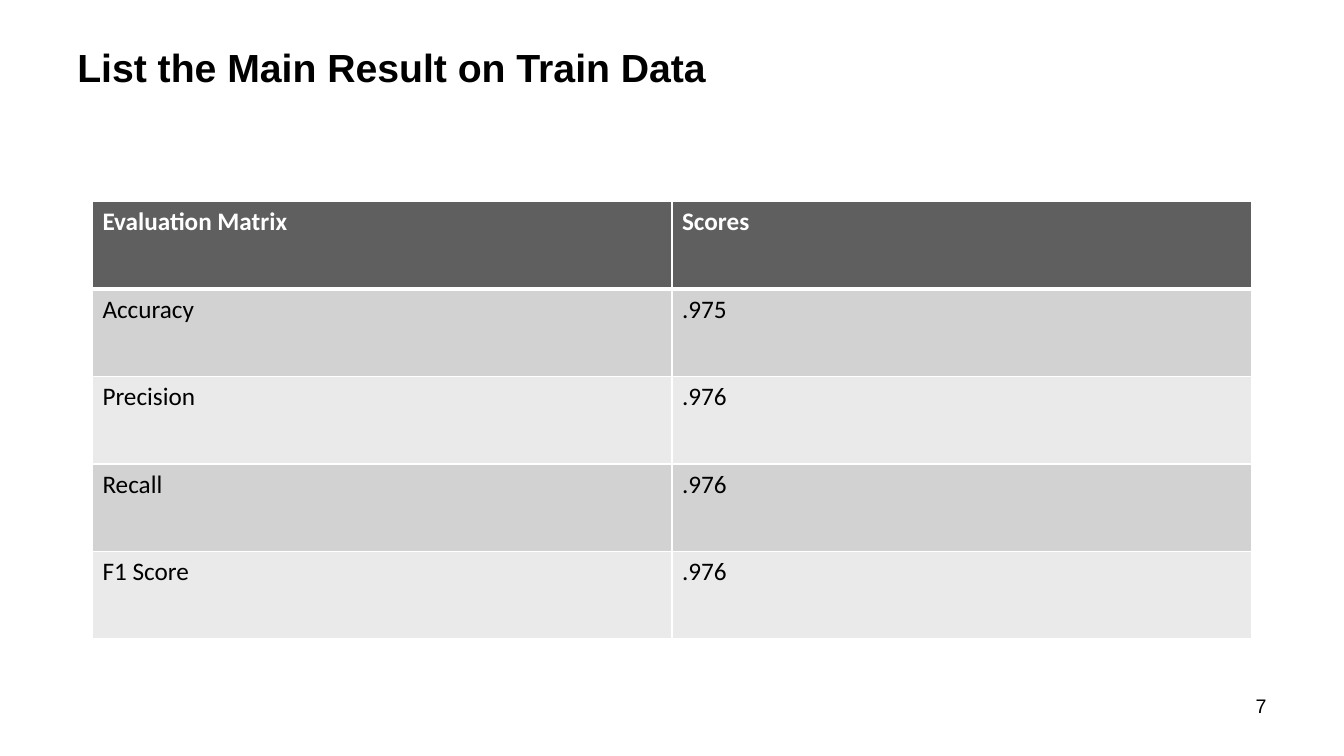
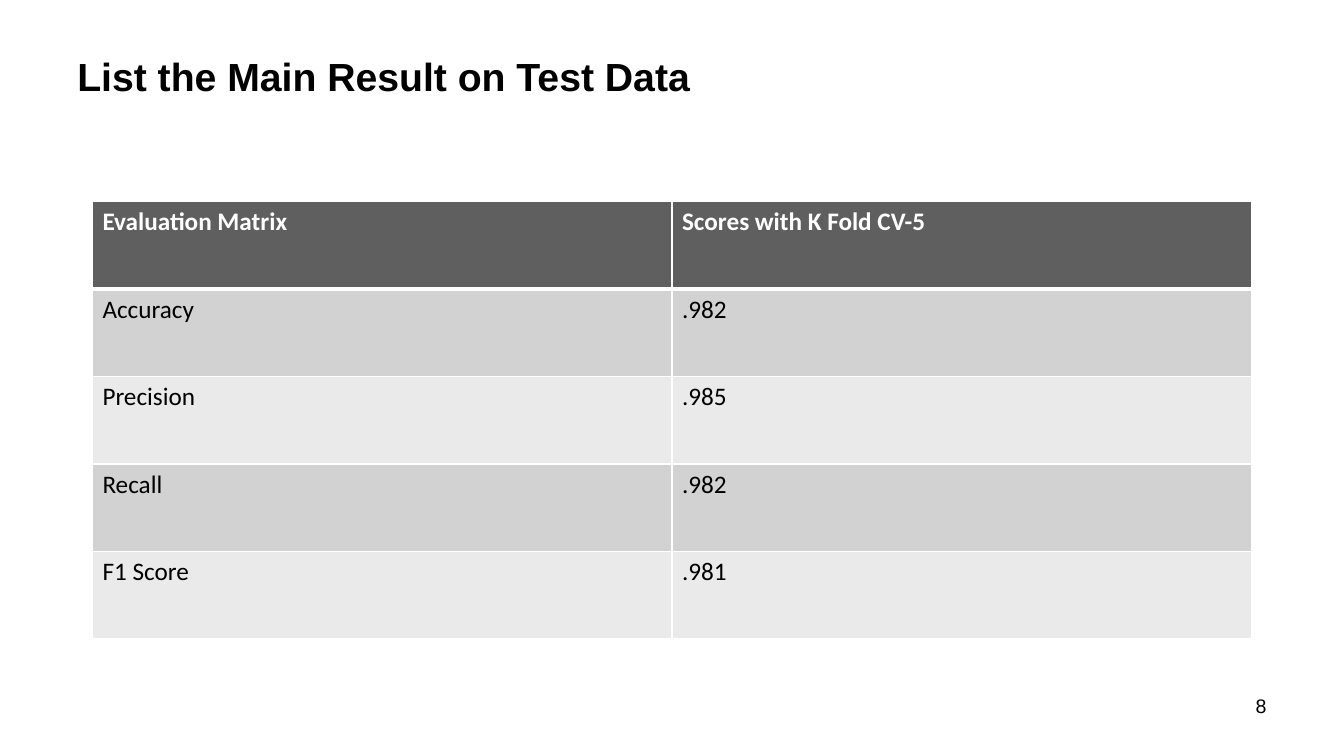
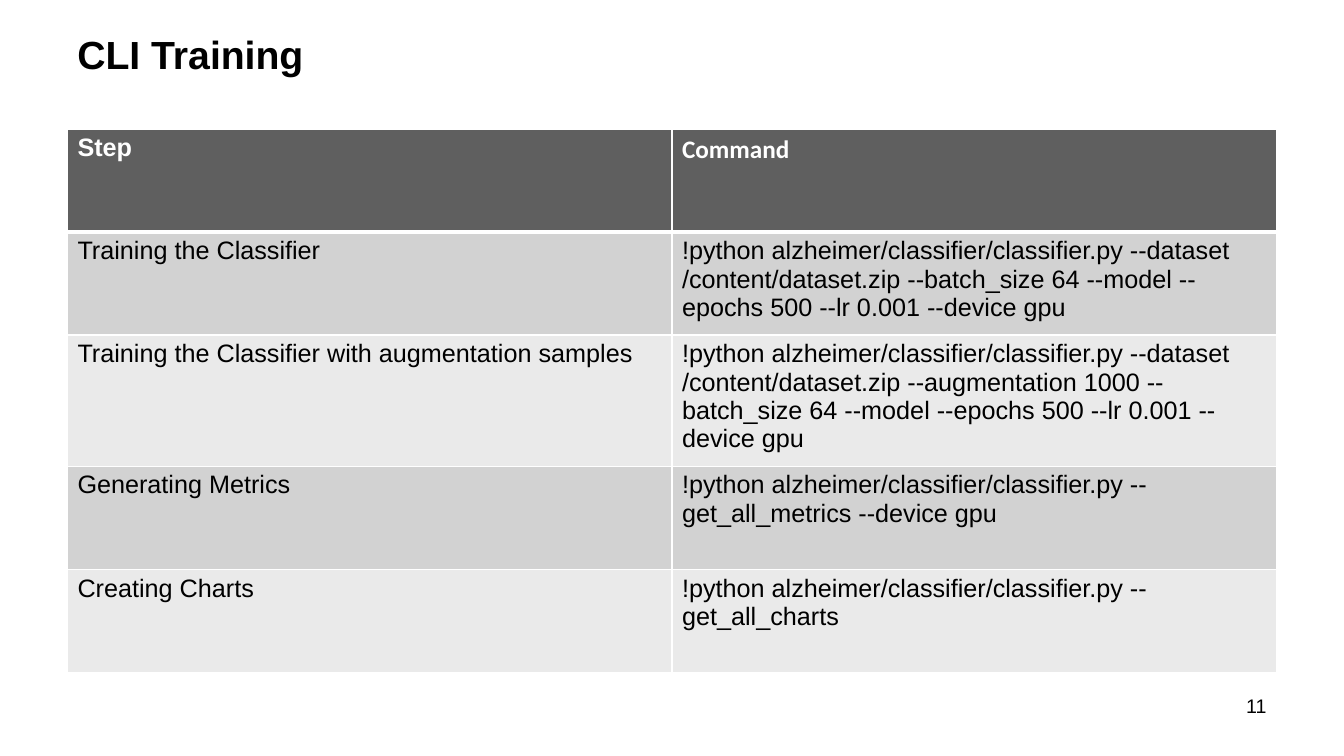
from lxml.etree import SubElement
from pptx import Presentation
from pptx.dml.color import RGBColor
from pptx.enum.text import MSO_ANCHOR, PP_ALIGN
from pptx.oxml.ns import qn
from pptx.util import Cm, Pt

BLACK = RGBColor(0x00, 0x00, 0x00)
WHITE = RGBColor(0xFF, 0xFF, 0xFF)
HEADER_GREY = RGBColor(0x5F, 0x5F, 0x5F)
BAND_GREYS = (RGBColor(0xD2, 0xD2, 0xD2), RGBColor(0xEA, 0xEA, 0xEA))

HEADING_FONT = "Arial"
TABLE_FONT = "Calibri"
SLIDE_WIDTH, SLIDE_HEIGHT = Cm(33.87), Cm(19.05)
MARGIN = Cm(1.7)
CONTENT_WIDTH = SLIDE_WIDTH - 2 * MARGIN
NUMBER_WIDTH = Cm(7.9)
THIN_RULE, HEADER_RULE = Pt(1), Pt(3)

METRICS = ("Accuracy", "Precision", "Recall", "F1 Score")
CLASSIFIER = "!python alzheimer/classifier/classifier.py"
TRAINING_OPTIONS = "--batch_size 64 --model --epochs 500 --lr 0.001 --device gpu"
CLI_STEPS = [
    ("Step", "Command"),
    ("Training the Classifier",
     f"{CLASSIFIER} --dataset /content/dataset.zip {TRAINING_OPTIONS}"),
    ("Training the Classifier with augmentation samples",
     f"{CLASSIFIER} --dataset /content/dataset.zip --augmentation 1000 {TRAINING_OPTIONS}"),
    ("Generating Metrics", f"{CLASSIFIER} --get_all_metrics --device gpu"),
    ("Creating Charts", f"{CLASSIFIER} --get_all_charts"),
]


def write(frame, text, font_name, size, color=BLACK, bold=False):
    frame.text = text
    for span in frame.paragraphs[0].runs:
        span.font.name = font_name
        span.font.size = Pt(size)
        span.font.bold = bold
        span.font.color.rgb = color


def add_text(page, left, top, width, height, text, size, bold=False):
    frame = page.shapes.add_textbox(left, top, width, height).text_frame
    frame.word_wrap = True
    write(frame, text, HEADING_FONT, size, bold=bold)
    return frame


def add_page(deck, title, title_top, title_height, number):
    """Add a slide with its title and slide number."""
    page = deck.slides.add_slide(deck.slide_layouts[6])
    heading = add_text(page, MARGIN, title_top, CONTENT_WIDTH, title_height,
                       title, 28, bold=True)
    heading.vertical_anchor = MSO_ANCHOR.MIDDLE
    footer = add_text(page, SLIDE_WIDTH - MARGIN - NUMBER_WIDTH, Cm(17.35),
                      NUMBER_WIDTH, Cm(1.32), str(number), 14)
    footer.paragraphs[0].alignment = PP_ALIGN.RIGHT
    return page


def set_borders(cell, top, bottom):
    properties = cell._tc.get_or_add_tcPr()
    widths = {"a:lnL": THIN_RULE, "a:lnR": THIN_RULE, "a:lnT": top, "a:lnB": bottom}
    for tag, width in widths.items():
        line = SubElement(properties, qn(tag), w=str(width))
        fill = SubElement(line, qn("a:solidFill"))
        SubElement(fill, qn("a:srgbClr"), val=str(WHITE))


def add_banded_table(page, rows, top, width, height,
                     header_fonts=(TABLE_FONT, TABLE_FONT), body_font=TABLE_FONT):
    """Add a horizontally centred table with a dark header and grey bands."""
    left = (SLIDE_WIDTH - width) // 2
    table = page.shapes.add_table(len(rows), len(rows[0]), left, top,
                                  width, height).table
    for row_index, row in enumerate(rows):
        is_header = row_index == 0
        for column_index, text in enumerate(row):
            cell = table.cell(row_index, column_index)
            # Borders must precede the fill in the cell properties.
            set_borders(cell,
                        top=HEADER_RULE if row_index == 1 else THIN_RULE,
                        bottom=HEADER_RULE if is_header else THIN_RULE)
            cell.fill.solid()
            cell.fill.fore_color.rgb = (HEADER_GREY if is_header
                                        else BAND_GREYS[(row_index - 1) % 2])
            write(cell.text_frame, text,
                  header_fonts[column_index] if is_header else body_font, 18,
                  color=WHITE if is_header else BLACK, bold=is_header)


def add_score_table(page, score_heading, scores):
    rows = [("Evaluation Matrix", score_heading), *zip(METRICS, scores)]
    add_banded_table(page, rows, Cm(5.08), Cm(29.21), Cm(11.02))


def main():
    deck = Presentation()
    deck.slide_width, deck.slide_height = SLIDE_WIDTH, SLIDE_HEIGHT

    train = add_page(deck, "List the Main Result on Train Data", Cm(0.77), Cm(1.83), 7)
    add_score_table(train, "Scores", (".975", ".976", ".976", ".976"))

    test = add_page(deck, "List the Main Result on Test Data", Cm(0.53), Cm(2.74), 8)
    add_score_table(test, "Scores with K Fold CV-5", (".982", ".985", ".982", ".981"))

    training = add_page(deck, "CLI Training", Cm(0.53), Cm(1.63), 11)
    add_banded_table(training, CLI_STEPS, Cm(3.25), CONTENT_WIDTH, Cm(12.98),
                     header_fonts=(HEADING_FONT, TABLE_FONT), body_font=HEADING_FONT)

    deck.save("out.pptx")


if __name__ == "__main__":
    main()
